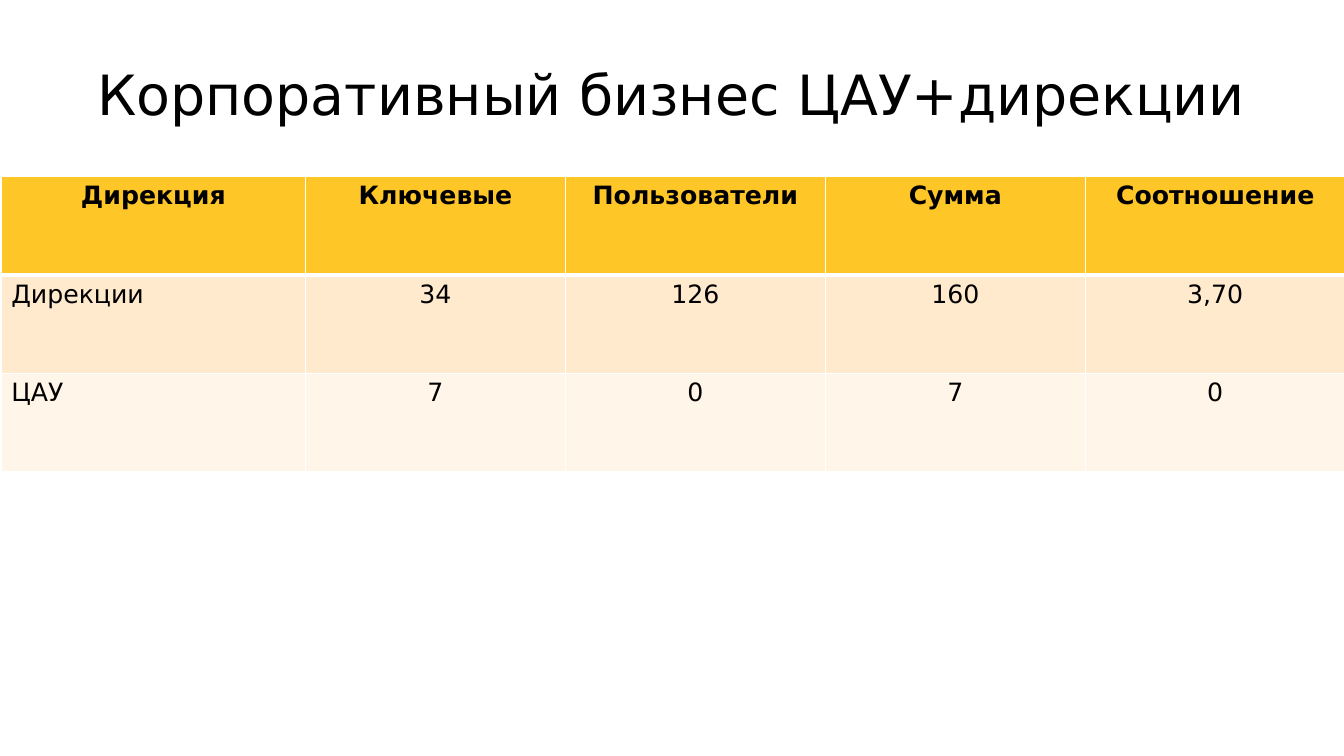
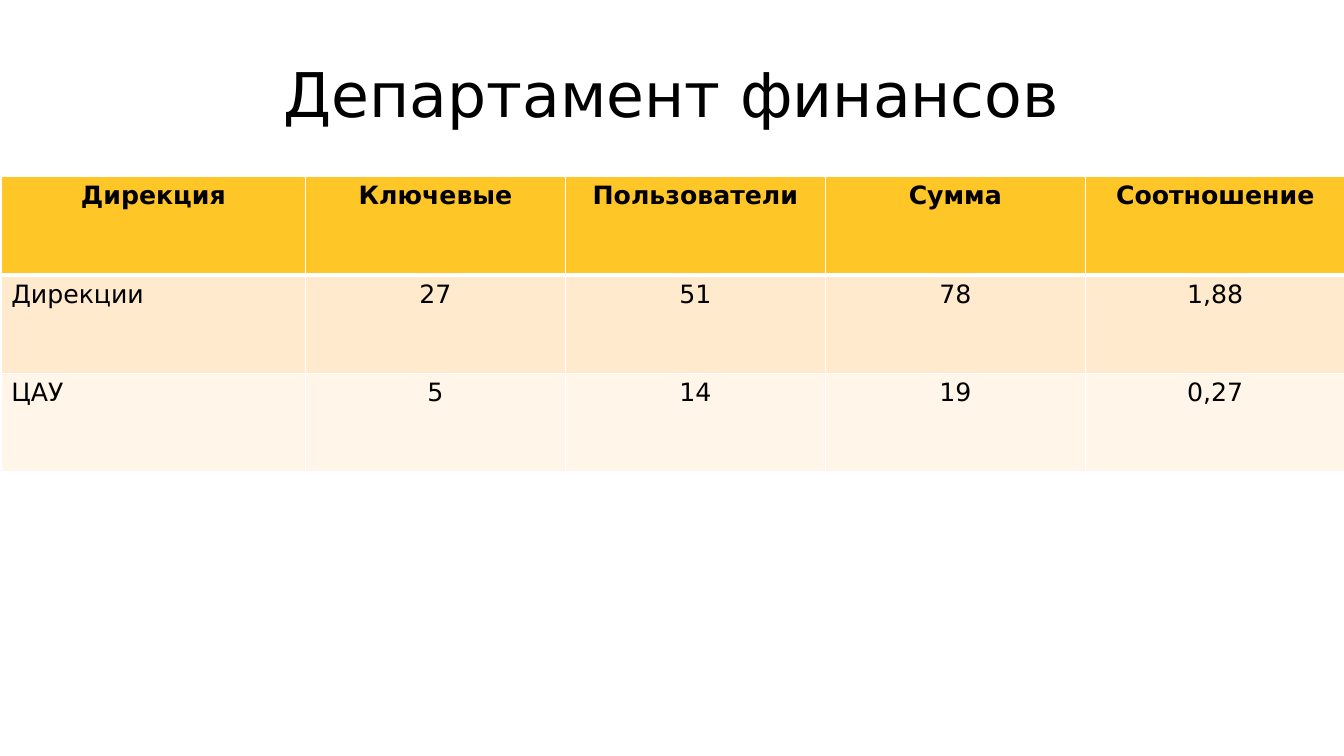
from lxml import etree
from pptx import Presentation
from pptx.dml.color import RGBColor
from pptx.enum.text import MSO_ANCHOR, MSO_AUTO_SIZE, PP_ALIGN
from pptx.oxml.ns import qn
from pptx.util import Cm, Pt

LEFT, CENTER = PP_ALIGN.LEFT, PP_ALIGN.CENTER
MIDDLE = MSO_ANCHOR.MIDDLE
NO_AUTOFIT = MSO_AUTO_SIZE.NONE

FONT = "DejaVu Sans"
BLACK = RGBColor(0x00, 0x00, 0x00)
WHITE = RGBColor(0xFF, 0xFF, 0xFF)
AMBER = RGBColor(0xFF, 0xC6, 0x27)
PEACH = RGBColor(0xFF, 0xEA, 0xCD)
CREAM = RGBColor(0xFF, 0xF5, 0xE8)

ROW_FILLS = [AMBER, PEACH, CREAM]
COLUMN_WIDTHS = [Cm(7.67)] + [Cm(6.55)] * 4
ROW_HEIGHT = Cm(2.48)
THIN, THICK = Pt(1), Pt(3)

HEADERS = ["Дирекция", "Ключевые", "Пользователи", "Сумма", "Соотношение"]
SLIDES = [
    ("Корпоративный бизнес ЦАУ+дирекции", 39.6, [
        ["Дирекции", "34", "126", "160", "3,70"],
        ["ЦАУ", "7", "0", "7", "0"],
    ]),
    ("Департамент финансов", 44, [
        ["Дирекции", "27", "51", "78", "1,88"],
        ["ЦАУ", "5", "14", "19", "0,27"],
    ]),
]


def format_paragraph(paragraph, size, bold, alignment):
    paragraph.alignment = alignment
    for run in paragraph.runs:
        run.font.name = FONT
        run.font.size = Pt(size)
        run.font.bold = bold
        run.font.color.rgb = BLACK


def set_borders(cell, top, bottom):
    properties = cell._tc.get_or_add_tcPr()
    for side, width in (("lnL", THIN), ("lnR", THIN), ("lnT", top), ("lnB", bottom)):
        line = etree.SubElement(properties, qn(f"a:{side}"), w=str(width))
        fill = etree.SubElement(line, qn("a:solidFill"))
        etree.SubElement(fill, qn("a:srgbClr"), val=str(WHITE))


presentation = Presentation()
presentation.slide_width = Cm(33.87)
presentation.slide_height = Cm(19.05)
title_only = presentation.slide_layouts[5]

for title_text, title_size, data_rows in SLIDES:
    slide = presentation.slides.add_slide(title_only)
    title = slide.shapes.title
    title.left, title.top = Cm(1.69), Cm(0.76)
    title.width, title.height = Cm(30.48), Cm(3.18)
    title.text_frame.text = title_text
    title.text_frame.word_wrap = True
    title.text_frame.auto_size = NO_AUTOFIT
    title.text_frame.vertical_anchor = MIDDLE
    format_paragraph(title.text_frame.paragraphs[0], title_size, False, CENTER)

    rows = [HEADERS] + data_rows
    table = slide.shapes.add_table(
        len(rows), len(HEADERS), Cm(0.03), Cm(4.45),
        sum(COLUMN_WIDTHS), ROW_HEIGHT * len(rows),
    ).table
    for column, width in zip(table.columns, COLUMN_WIDTHS):
        column.width = width

    for row_index, values in enumerate(rows):
        table.rows[row_index].height = ROW_HEIGHT
        is_header = row_index == 0
        top = THICK if row_index == 1 else THIN
        bottom = THICK if is_header else THIN
        for column_index, value in enumerate(values):
            cell = table.cell(row_index, column_index)
            set_borders(cell, top, bottom)
            cell.fill.solid()
            cell.fill.fore_color.rgb = ROW_FILLS[row_index]
            cell.text_frame.text = value
            alignment = CENTER if is_header or column_index else LEFT
            format_paragraph(cell.text_frame.paragraphs[0], 18, is_header, alignment)

presentation.save("out.pptx")
